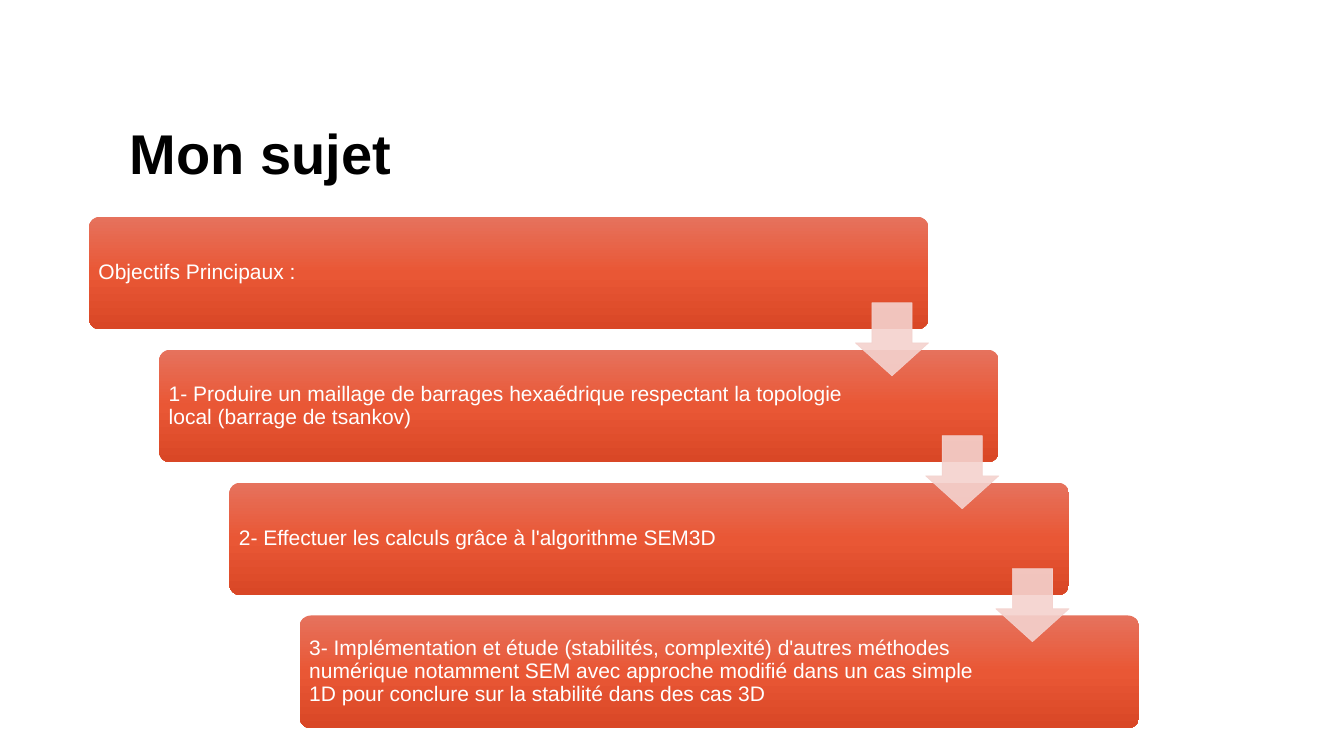
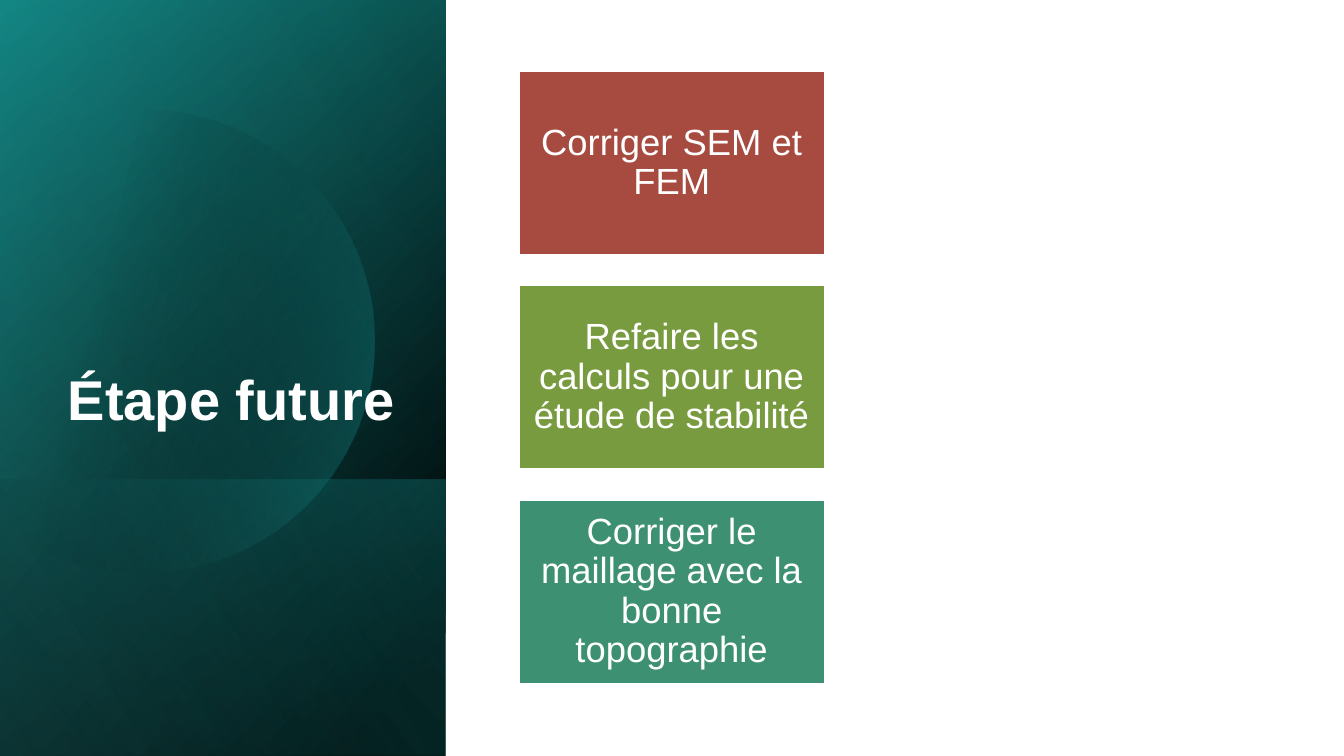
"""Build two slides: the subject as descending steps, and the future stages as cards."""
import math

import pptx
import pptx.dml.color
import pptx.enum.shapes
import pptx.enum.text
import pptx.oxml
import pptx.oxml.ns
import pptx.util

Cm = pptx.util.Cm
Pt = pptx.util.Pt
qn = pptx.oxml.ns.qn
SHAPES = pptx.enum.shapes.MSO_SHAPE
ALIGN = pptx.enum.text.PP_ALIGN
ANCHOR = pptx.enum.text.MSO_ANCHOR

FONT = "Arial"
WHITE, BLACK = "FFFFFF", "000000"
ARROW_COLOUR = "F4D2CE"
SLIDE_W, SLIDE_H = 33.87, 19.05

SUBJECT_TITLE = "Mon sujet"
STEPS = [
    "Objectifs Principaux :",
    "1- Produire un maillage de barrages hexaédrique respectant la topologie local (barrage de tsankov)",
    "2- Effectuer les calculs grâce à l'algorithme SEM3D",
    "3- Implémentation et étude (stabilités, complexité) d'autres méthodes numérique notamment SEM "
    "avec approche modifié dans un cas simple 1D pour conclure sur la stabilité dans des cas 3D",
]
STEP_GRADIENT = [(0, "E6725D", 100), (50, "E95735", 100), (100, "D94726", 100)]
STEP_LEFT, STEP_TOP, STEP_W, STEP_H = 2.24, 5.46, 21.16, 2.84
STEP_DX, STEP_DY = 1.77, 3.35
ARROW_SIZE, ARROW_DROP = 1.84, 2.17

FUTURE_TITLE = "Étape future"
CARDS = [
    ("Corriger SEM et FEM", "A74B40"),
    ("Refaire les calculs pour une étude de stabilité", "799B3F"),
    ("Corriger le maillage avec la bonne topographie", "3D9072"),
]
CARD_LEFT, CARD_TOP, CARD_W, CARD_H, CARD_PITCH = 13.08, 1.8, 7.7, 4.62, 5.4

PANEL_W = 11.23
BAND_TOP = 12.09
BASE_LAYERS = [
    (0, 50, [(8, BLACK, 100), (100, "117573", 100)]),
    (0, 30, [(0, BLACK, 0), (99, "169C9A", 46)]),
    (BAND_TOP, 130, [(2, "169C9A", 29), (100, BLACK, 30)]),
]
TOP_LAYER = (0, 120, [(0, BLACK, 0), (99, "50E6E4", 11)])
DISC_X, DISC_Y, DISC_R = 3.61, 8.59, 5.84
DISC_GRADIENT = [(29, BLACK, 0), (100, "169C9A", 43)]


def rgb(colour):
    """Turn a hex string into a colour."""
    return pptx.dml.color.RGBColor.from_string(colour)


def set_alpha(colour_element, percent):
    """Make a colour element partly transparent."""
    alpha = colour_element.makeelement(qn("a:alpha"), {"val": str(percent * 1000)})
    colour_element.append(alpha)


def fill_gradient(shape, stops, angle):
    """Fill a shape with a linear gradient whose angle runs clockwise."""
    shape.fill.gradient()
    shape.fill.gradient_angle = 360 - angle
    stop_list = shape._element.spPr.find(".//" + qn("a:gsLst"))
    for old_stop in list(stop_list):
        stop_list.remove(old_stop)
    for position, colour, opacity in stops:
        stop = pptx.oxml.parse_xml(
            f'<a:gs xmlns:a="http://schemas.openxmlformats.org/drawingml/2006/main" '
            f'pos="{position * 1000}"><a:srgbClr val="{colour}"/></a:gs>')
        if opacity < 100:
            set_alpha(stop[0], opacity)
        stop_list.append(stop)


def add_shape(slide, kind, left, top, width, height):
    """Add a preset shape without shadow or line."""
    shape = slide.shapes.add_shape(kind, Cm(left), Cm(top), Cm(width), Cm(height))
    shape.shadow.inherit = False
    shape.line.fill.background()
    return shape


def write(shape, text, size, colour, align, anchor, margins=None, bold=False):
    """Write one formatted paragraph; margins run left, top, right, bottom."""
    frame = shape.text_frame
    frame.text = text
    frame.word_wrap = True
    frame.auto_size = pptx.enum.text.MSO_AUTO_SIZE.NONE
    frame.vertical_anchor = anchor
    if margins:
        (frame.margin_left, frame.margin_top,
         frame.margin_right, frame.margin_bottom) = map(Cm, margins)
    paragraph = frame.paragraphs[0]
    paragraph.alignment = align
    paragraph.line_spacing = 0.9
    font = paragraph.runs[0].font
    font.name, font.size, font.bold = FONT, Pt(size), bold
    font.color.rgb = rgb(colour)


def place_title(slide, text, box, colour, align, anchor):
    """Move and format the title placeholder."""
    title = slide.shapes.title
    title.left, title.top, title.width, title.height = map(Cm, box)
    write(title, text, 40, colour, align, anchor, bold=True)


def add_layer(slide, top, angle, stops):
    """Add a mirrored, quarter-turned gradient layer from top to the foot of the panel."""
    length = SLIDE_H - top
    layer = add_shape(slide, SHAPES.RECTANGLE, (PANEL_W - length) / 2,
                      top + (length - PANEL_W) / 2, length, PANEL_W)
    layer.rotation = 90
    layer._element.spPr.find(qn("a:xfrm")).set("flipH", "1")
    fill_gradient(layer, stops, angle)


def add_disc(slide):
    """Add the large disc cut off by the left edge of the slide."""
    limit = math.acos(-DISC_X / DISC_R)
    angles = [limit * (i / 60 - 1) for i in range(121)]
    outline = [(Cm(DISC_X + DISC_R * math.cos(a)), Cm(DISC_Y + DISC_R * math.sin(a)))
               for a in angles]
    builder = slide.shapes.build_freeform(*outline[0])
    builder.add_line_segments(outline[1:], close=True)
    disc = builder.convert_to_shape()
    disc.shadow.inherit = False
    disc.line.fill.background()
    fill_gradient(disc, DISC_GRADIENT, 14)


def build_subject(slide):
    """Fill the slide with the staircase of objectives."""
    place_title(slide, SUBJECT_TITLE, (3.02, 3.05, 29.26, 3.4), BLACK, ALIGN.LEFT, ANCHOR.TOP)
    corners = [(STEP_LEFT + i * STEP_DX, STEP_TOP + i * STEP_DY) for i in range(len(STEPS))]
    for (left, top), text in zip(corners, STEPS):
        step = add_shape(slide, SHAPES.ROUNDED_RECTANGLE, left, top, STEP_W, STEP_H)
        step.adjustments[0] = 0.1
        fill_gradient(step, STEP_GRADIENT, 90)
        write(step, text, 15, WHITE, ALIGN.LEFT, ANCHOR.MIDDLE, (0.16, 0.15, 3.75, 0.15))
    for left, top in corners[:-1]:
        arrow = add_shape(slide, SHAPES.DOWN_ARROW, left + STEP_W - ARROW_SIZE,
                          top + ARROW_DROP, ARROW_SIZE, ARROW_SIZE)
        arrow.adjustments[0], arrow.adjustments[1] = 0.55, 0.45
        arrow.fill.solid()
        arrow.fill.fore_color.rgb = rgb(ARROW_COLOUR)
        arrow.line.color.rgb = rgb(ARROW_COLOUR)
        arrow.line.width = Pt(0.5)
        for colour_element in list(arrow._element.spPr.iter(qn("a:srgbClr"))):
            set_alpha(colour_element, 90)


def build_future(slide):
    """Fill the slide with the dark title panel and the stage cards."""
    for layer in BASE_LAYERS:
        add_layer(slide, *layer)
    add_disc(slide)
    add_layer(slide, *TOP_LAYER)
    title = slide.shapes.title
    slide.shapes._spTree.append(title._element)
    place_title(slide, FUTURE_TITLE, (1.3, 1.63, 8.89, 9.4), WHITE, ALIGN.RIGHT, ANCHOR.BOTTOM)
    for i, (text, colour) in enumerate(CARDS):
        card = add_shape(slide, SHAPES.RECTANGLE, CARD_LEFT, CARD_TOP + i * CARD_PITCH,
                         CARD_W, CARD_H)
        card.fill.solid()
        card.fill.fore_color.rgb = rgb(colour)
        card.line.color.rgb = rgb(WHITE)
        card.line.width = Pt(1)
        write(card, text, 26, WHITE, ALIGN.CENTER, ANCHOR.MIDDLE, (0.28,) * 4)


def main():
    """Build and save the presentation."""
    presentation = pptx.Presentation()
    presentation.slide_width, presentation.slide_height = Cm(SLIDE_W), Cm(SLIDE_H)
    for build in (build_subject, build_future):
        build(presentation.slides.add_slide(presentation.slide_layouts[5]))
    presentation.save("out.pptx")


if __name__ == "__main__":
    main()
